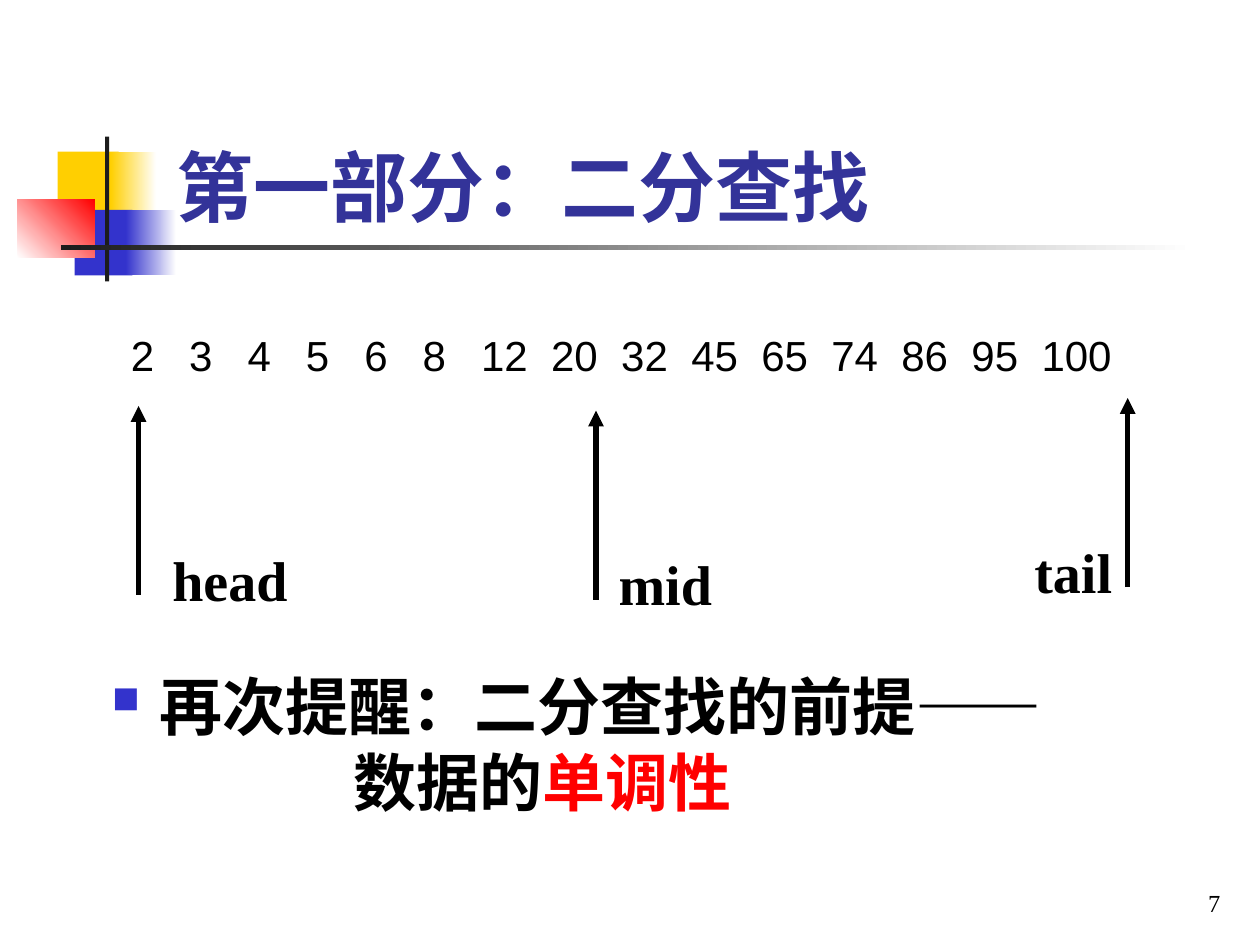
from itertools import accumulate
from lxml.etree import SubElement as Sub
from pptx import Presentation
from pptx.dml.color import RGBColor
from pptx.enum.shapes import MSO_CONNECTOR as Conn, MSO_SHAPE as Kind
from pptx.enum.text import MSO_ANCHOR as Anchor, PP_ALIGN as Align
from pptx.oxml.ns import qn
from pptx.util import Pt

SANS, SERIF, HAN = "Arial", "Times New Roman", "Noto Sans CJK SC"
BLACK, WHITE, BLUE, GOLD, RED, DARK = "000000", "FFFFFF", "3333CC", "FFCF01", "FF0000", "1C1C1C"


def color(code):
    """Turn a hex string into a colour."""
    return RGBColor.from_string(code)


def frame(slide, box, anchor=Anchor.TOP):
    """Add an empty wrapping text box and return its frame."""
    body = slide.shapes.add_textbox(*map(Pt, box)).text_frame
    body.word_wrap = True
    body.vertical_anchor = anchor
    return body


def write(para, text, size=24, font=SANS, ink=BLACK, bold=False):
    """Add one formatted run to a paragraph."""
    run = para.add_run()
    run.text = text
    run.font.size, run.font.name, run.font.bold = Pt(size), font, bold
    run.font.color.rgb = color(ink)
    Sub(run.font._element, qn("a:ea"), typeface=HAN)


def block(slide, box, start, end=None, angle=0):
    """Draw a borderless rectangle, plain or fading between two colours."""
    shape = slide.shapes.add_shape(Kind.RECTANGLE, *map(Pt, box))
    shape.shadow.inherit = False
    shape.line.fill.background()
    if end is None:
        shape.fill.solid()
        shape.fill.fore_color.rgb = color(start)
        return
    shape.fill.gradient()
    shape.fill.gradient_angle = angle
    for stop, code in zip(shape.fill.gradient_stops, (start, end)):
        stop.color.rgb = color(code)


def emblem(slide, left, top):
    """Draw the overlapping squares and the two rules of the heading."""
    parts = [
        ((23, 8.6, 34.8, 37.4), GOLD),
        ((53.3, 8.6, 26, 37.4), GOLD, WHITE),
        ((32.7, 42, 33, 37.4), BLUE),
        ((62, 42, 28.8, 37.4), BLUE, WHITE),
        ((0, 36, 44.2, 33.4), WHITE, RED, 45),
        ((50, 0, 2.4, 82.8), DARK),
        ((25, 62.2, 648, 2.5), DARK, WHITE),
    ]
    for (x, y, wide, high), *fill in parts:
        block(slide, (left + x, top + y, wide, high), *fill)


def title(slide, box):
    """Write the heading."""
    para = frame(slide, box, Anchor.BOTTOM).paragraphs[0]
    write(para, "第一部分：二分查找", size=44, ink="333399", bold=True)


def values(slide, box, items):
    """Write the sorted values, each at a tab stop set by the digits before it."""
    para = frame(slide, box).paragraphs[0]
    tabs = Sub(para._p.get_or_add_pPr(), qn("a:tabLst"))
    steps = [33.36 if item < 10 else 40.03 for item in items[:-1]]
    for stop in accumulate(steps):
        Sub(tabs, qn("a:tab"), pos=str(Pt(stop)), algn="l")
    write(para, "\t".join(map(str, items)))


def marker(slide, left, top, name, shift, wide):
    """Draw an upward arrow with its label near the foot."""
    x = Pt(left)
    line = slide.shapes.add_connector(Conn.STRAIGHT, x, Pt(top + 108), x, Pt(top))
    line.line.width = Pt(3)
    line.line.color.rgb = color(BLACK)
    Sub(line.line._get_or_add_ln(), qn("a:tailEnd"), type="triangle")
    Sub(line._element.spPr, qn("a:effectLst"))
    para = frame(slide, (left + shift, top + 76, wide, 46)).paragraphs[0]
    write(para, name, size=32, font=SERIF, bold=True)


def reminder(slide, box):
    """Write the bulleted reminder and its indented second line."""
    body = frame(slide, box)
    first, second = body.paragraphs[0], body.add_paragraph()
    props = first._p.get_or_add_pPr()
    props.set("marL", str(Pt(27)))
    props.set("indent", str(Pt(-27)))
    Sub(Sub(props, qn("a:buClr")), qn("a:srgbClr"), val=BLUE)
    Sub(props, qn("a:buSzPct"), val="60000")
    Sub(props, qn("a:buChar"), char="■")
    second._p.get_or_add_pPr().set("marL", str(Pt(138)))
    second.space_before = Pt(9)
    for para in body.paragraphs:
        para.line_spacing = 0.8
    look = dict(size=36, font=HAN, bold=True)
    write(first, "再次提醒：二分查找的前提——", **look)
    write(second, "数据的", **look)
    write(second, "单调性", ink=RED, **look)


def number(slide, box, text):
    """Write the page number at the lower right."""
    para = frame(slide, box, Anchor.BOTTOM).paragraphs[0]
    para.alignment = Align.RIGHT
    write(para, text, size=14, font=SERIF)


def main():
    """Build the slide and save it."""
    deck = Presentation()
    deck.slide_width, deck.slide_height = Pt(720), Pt(540)
    slide = deck.slides.add_slide(deck.slide_layouts[6])
    emblem(slide, 10, 78)
    title(slide, (93.6, 60.5, 492, 75.6))
    values(slide, (67.7, 185, 598, 47), [2, 3, 4, 5, 6, 8, 12, 20, 32, 45, 65, 74, 86, 95, 100])
    marker(slide, 79.2, 232, "head", 12.2, 90)
    marker(slide, 340.6, 234.7, "mid", 5.8, 90)
    marker(slide, 644.4, 227.5, "tail", -60.4, 66)
    reminder(slide, (56.9, 386, 612, 78))
    number(slide, (554.4, 491.8, 150, 36), "7")
    deck.save("out.pptx")


if __name__ == "__main__":
    main()
